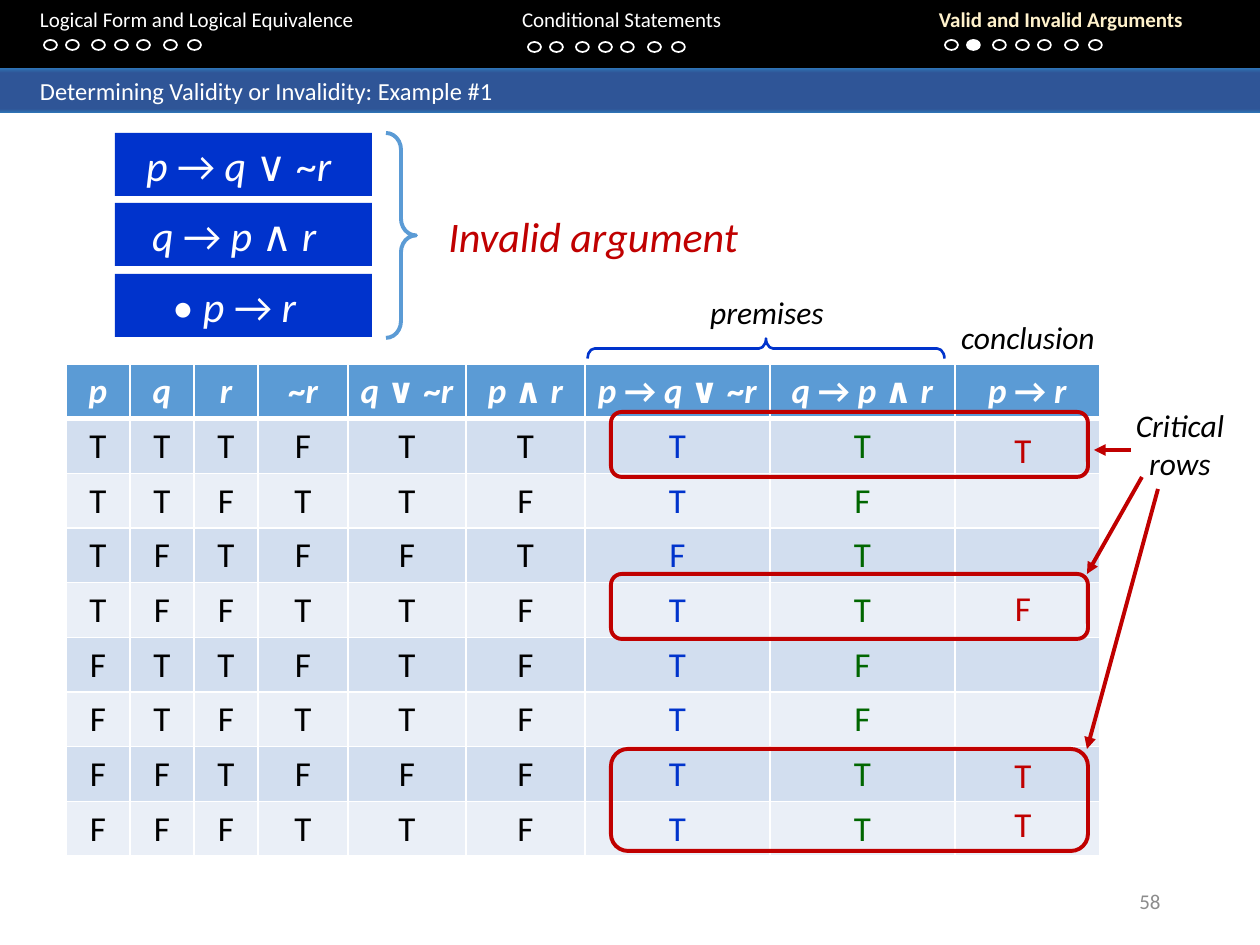
import itertools
import pptx
import pptx.util
import pptx.dml.color
import pptx.enum.shapes
import pptx.enum.text
import pptx.oxml
import pptx.oxml.ns
import copy

SCALE = 914400 // 126
FONT = "Calibri"
Color = pptx.dml.color.RGBColor
Kind = pptx.enum.shapes.MSO_SHAPE
Align = pptx.enum.text.PP_ALIGN
Anchor = pptx.enum.text.MSO_ANCHOR
WHITE = Color(0xFF, 0xFF, 0xFF)
BLACK = Color(0, 0, 0)
CREAM = Color(0xFF, 0xF2, 0xCC)
BAR_EDGE = Color(0x2E, 0x75, 0xB6)
BAR_MIDDLE = Color(0x2F, 0x55, 0x97)
BLUE = Color(0x00, 0x33, 0xCC)
GREEN = Color(0x00, 0x66, 0x00)
RED = Color(0xC0, 0x00, 0x00)
SKY = Color(0x5B, 0x9B, 0xD5)
BAND_DARK = Color(0xD2, 0xDE, 0xEF)
BAND_LIGHT = Color(0xEA, 0xEF, 0xF7)
GRAY = Color(0x8C, 0x8C, 0x8C)

SECTIONS = [
    ("Logical Form and Logical Equivalence", 40, 44, 40),
    ("Conditional Statements", 522, 528, 42),
    ("Valid and Invalid Arguments", 939, 945, 40),
]
DOT_OFFSETS = [0, 22, 48, 71, 93, 120, 144]
CURRENT_SECTION, CURRENT_DOT = 2, 1
ARGUMENT = [("p → q ∨ ~r", 133, 22), ("q → p ∧ r", 203, 31), ("• p → r", 274, 31)]
HEADINGS = ["p", "q", "r", "~r", "q ∨ ~r", "p ∧ r", "p → q ∨ ~r", "q → p ∧ r", "p → r"]
TRUTH_ROWS = ["TTTFTTTT", "TTFTTFTF", "TFTFFTFT", "TFFTTFTT",
              "FTTFTFTF", "FTFTTFTF", "FFTFFFTT", "FFFTTFTT"]
COLUMN_WIDTHS = [64, 64, 64, 90, 118, 119, 185, 185, 145]
COLUMN_COLORS = [BLACK] * 6 + [BLUE, GREEN]
CRITICAL_FRAMES = [(412, 65), (574, 65), (749, 102)]
CONCLUSIONS = [("T", 422), ("F", 580), ("T", 747), ("T", 796)]
ARROWS = [(1131, 450, 1094, 450), (1142, 477, 1087, 574), (1158, 489, 1087, 749)]


def px(*lengths):
    return [pptx.util.Emu(length * SCALE) for length in lengths]


def style(span, size, color, bold=False, italic=False):
    span.font.name = FONT
    span.font.size = pptx.util.Pt(size)
    span.font.color.rgb = color
    span.font.bold = bold
    span.font.italic = italic


def write(frame, text, size, color, align=Align.LEFT, bold=False, italic=False):
    frame.word_wrap = True
    para = frame.paragraphs[0]
    para.text = text
    para.alignment = align
    style(para.runs[0], size, color, bold, italic)


def write_formula(frame, formula, size, bold=False):
    para = frame.paragraphs[0]
    para.alignment = Align.CENTER
    for is_variable, letters in itertools.groupby(formula, str.isalpha):
        span = para.add_run()
        span.text = "".join(letters)
        style(span, size, WHITE, bold, is_variable)


def add_shape(page, kind, place, fill=None, line=None, width=1):
    shape = page.shapes.add_shape(kind, *px(*place))
    shape.shadow.inherit = False
    if fill is None:
        shape.fill.background()
    else:
        shape.fill.solid()
        shape.fill.fore_color.rgb = fill
    if line is None:
        shape.line.fill.background()
    else:
        shape.line.color.rgb = line
        shape.line.width = pptx.util.Pt(width)
    return shape


def add_label(page, text, place, size, color, **options):
    box = page.shapes.add_textbox(*px(*place))
    write(box.text_frame, text, size, color, **options)
    return box


def add_arrow(page, ends):
    arrow = page.shapes.add_connector(pptx.enum.shapes.MSO_CONNECTOR.STRAIGHT, *px(*ends))
    arrow.line.color.rgb = RED
    arrow.line.width = pptx.util.Pt(2.25)
    properties = arrow.line._get_or_add_ln()
    head = pptx.oxml.parse_xml(f'<a:tailEnd {pptx.oxml.ns.nsdecls("a")} type="triangle"/>')
    properties.append(head)
    effects = pptx.oxml.parse_xml(f'<a:effectLst {pptx.oxml.ns.nsdecls("a")}/>')
    arrow._element.spPr.append(effects)


def add_navigation(page):
    add_shape(page, Kind.RECTANGLE, (0, -2, 1260, 70), BLACK)
    for section, (title, left, dots_left, dots_top) in enumerate(SECTIONS):
        current = section == CURRENT_SECTION
        box = add_label(page, title, (left, 0, 320, 38), 12, CREAM if current else WHITE, bold=current)
        box.text_frame.margin_left = box.text_frame.margin_right = 0
        for index, offset in enumerate(DOT_OFFSETS):
            fill = WHITE if current and index == CURRENT_DOT else None
            add_shape(page, Kind.OVAL, (dots_left + offset, dots_top, 13, 10), fill, WHITE)


def add_title_bar(page):
    bar = add_shape(page, Kind.RECTANGLE, (0, 68, 1260, 45))
    bar.fill.gradient()
    bar.fill.gradient_angle = 270
    stop_list = bar._element.spPr.find(".//" + pptx.oxml.ns.qn("a:gsLst"))
    for stop in list(stop_list)[:2]:
        stop_list.append(copy.deepcopy(stop))
    stops = [(0, BAR_EDGE), (0.11, BAR_MIDDLE), (0.91, BAR_MIDDLE), (1, BAR_EDGE)]
    for stop, (position, color) in zip(bar.fill.gradient_stops, stops):
        stop.position = position
        stop.color.rgb = color
    write(bar.text_frame, "Determining Validity or Invalidity: Example #1", 14, WHITE)
    bar.text_frame.margin_left = px(40)[0]
    bar.text_frame.vertical_anchor = Anchor.MIDDLE


def add_argument(page):
    for formula, top, right_inset in ARGUMENT:
        box = add_shape(page, Kind.RECTANGLE, (115, top, 257, 63), BLUE)
        box.text_frame.vertical_anchor = Anchor.TOP
        box.text_frame.margin_right = px(right_inset)[0]
        write_formula(box.text_frame, formula, 24)
    brace = add_shape(page, Kind.RIGHT_BRACE, (386, 133, 30, 205), line=SKY, width=2.25)
    brace.adjustments[0] = 0.556
    add_label(page, "Invalid argument", (436, 204, 330, 63), 24, RED, italic=True)


def set_borders(cell, bottom_width):
    properties = cell._tc.get_or_add_tcPr()
    for index, (side, width) in enumerate(zip("LRTB", [1, 1, 1, bottom_width])):
        border = pptx.oxml.parse_xml(
            f'<a:ln{side} {pptx.oxml.ns.nsdecls("a")} w="{width * 12700}">'
            f'<a:solidFill><a:srgbClr val="{WHITE}"/></a:solidFill></a:ln{side}>')
        properties.insert(index, border)


def add_truth_table(page):
    count = len(TRUTH_ROWS) + 1
    place = px(66, 364, sum(COLUMN_WIDTHS), 52 * count)
    table = page.shapes.add_table(count, len(HEADINGS), *place).table
    for column, width in zip(table.columns, COLUMN_WIDTHS):
        column.width = px(width)[0]
    for index, row in enumerate(table.rows):
        fill = SKY if index == 0 else BAND_DARK if index % 2 else BAND_LIGHT
        for cell in row.cells:
            cell.fill.solid()
            cell.fill.fore_color.rgb = fill
            set_borders(cell, 1 if index else 3)
    for column, heading in enumerate(HEADINGS):
        write_formula(table.cell(0, column).text_frame, heading, 20, bold=True)
    for row, values in enumerate(TRUTH_ROWS, 1):
        for column, (value, color) in enumerate(zip(values, COLUMN_COLORS)):
            write(table.cell(row, column).text_frame, value, 20, color, Align.CENTER)


def add_annotations(page):
    for top, height in CRITICAL_FRAMES:
        add_shape(page, Kind.ROUNDED_RECTANGLE, (611, top, 477, height), line=RED, width=2.25)
    for value, top in CONCLUSIONS:
        add_label(page, value, (978, top, 90, 55), 20, RED, align=Align.CENTER)
    brace = add_shape(page, Kind.RIGHT_BRACE, (756, 170, 20, 357), line=BLUE, width=1.5)
    brace.rotation = 270
    brace.adjustments[0] = 0.358
    for text, place in [("premises", (688, 287, 158, 50)),
                        ("conclusion", (940, 312, 176, 50)),
                        ("Critical rows", (1114, 400, 132, 90))]:
        add_label(page, text, place, 18, BLACK, align=Align.CENTER, italic=True)
    for ends in ARROWS:
        add_arrow(page, ends)


def main():
    deck = pptx.Presentation()
    deck.slide_width, deck.slide_height = px(1260, 945)
    page = deck.slides.add_slide(deck.slide_layouts[6])
    add_navigation(page)
    add_title_bar(page)
    number = add_label(page, "58", (890, 876, 283, 50), 12, GRAY, align=Align.RIGHT)
    number.text_frame.vertical_anchor = Anchor.MIDDLE
    add_argument(page)
    add_truth_table(page)
    add_annotations(page)
    deck.save("out.pptx")


main()
